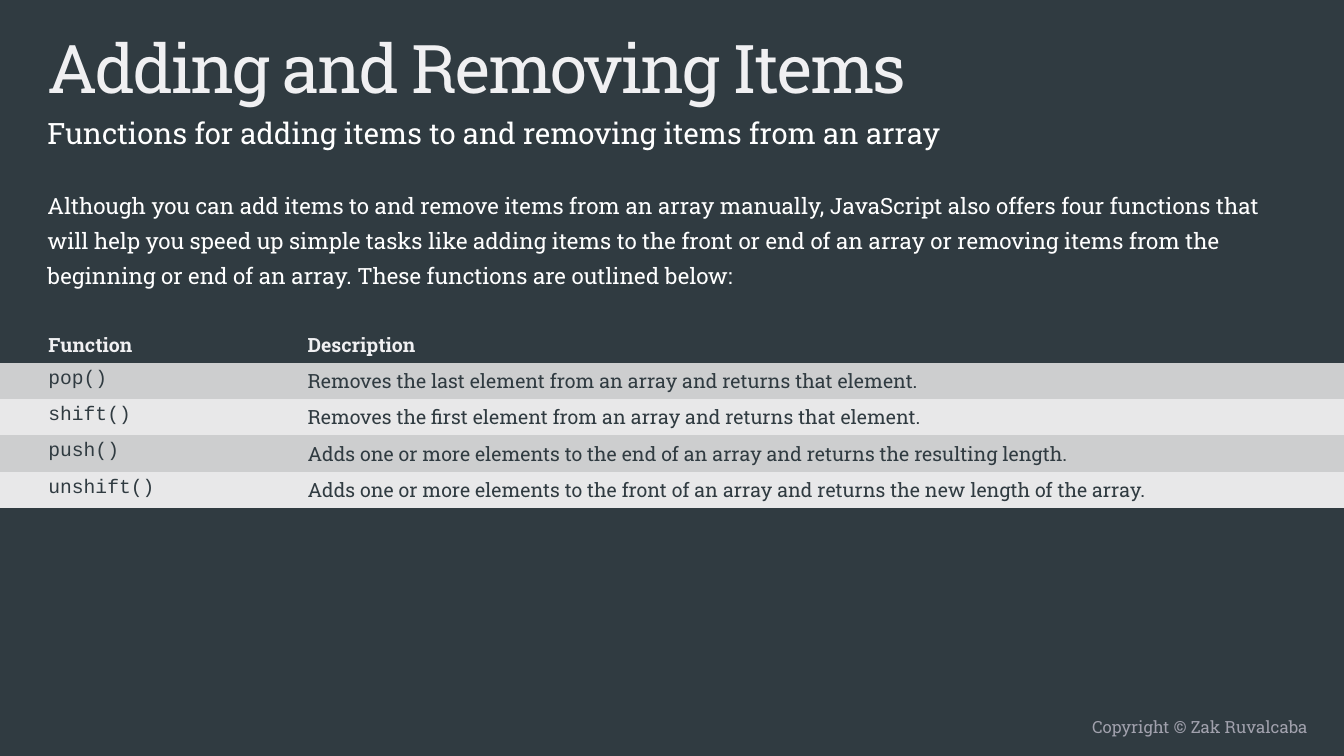
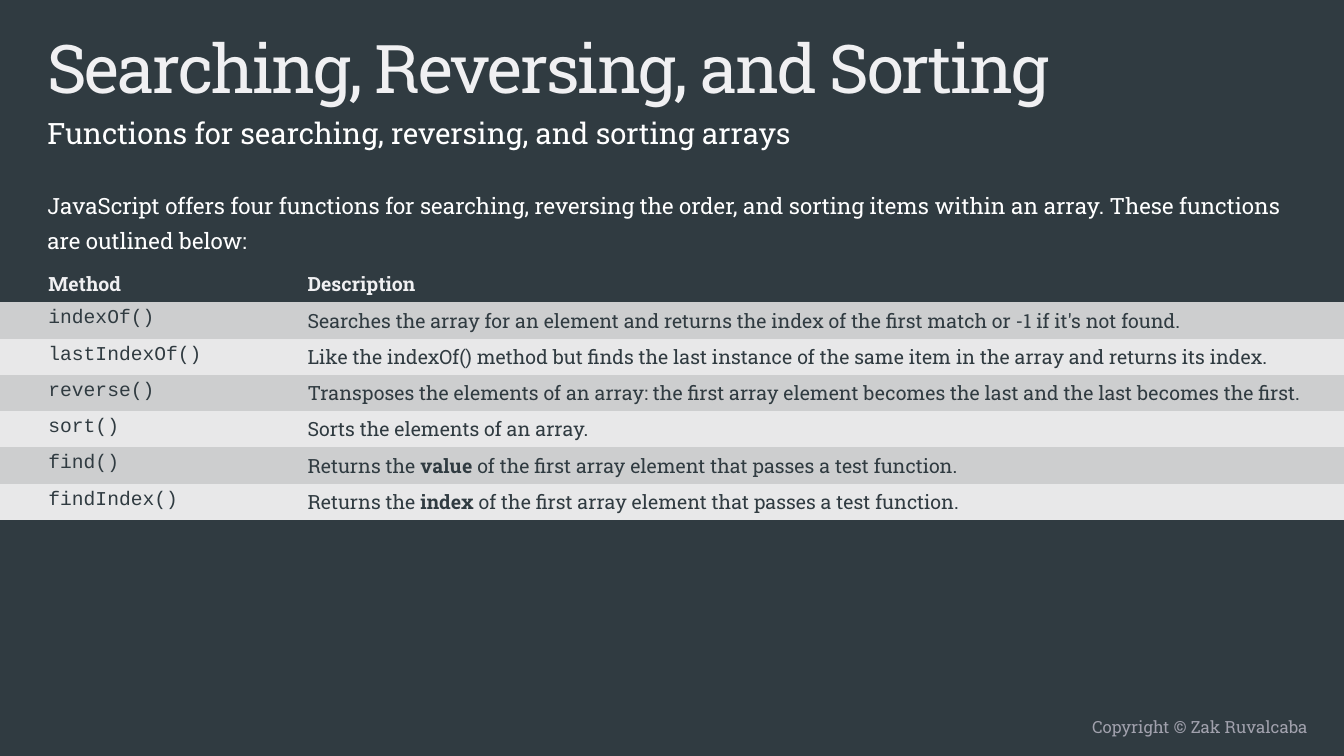
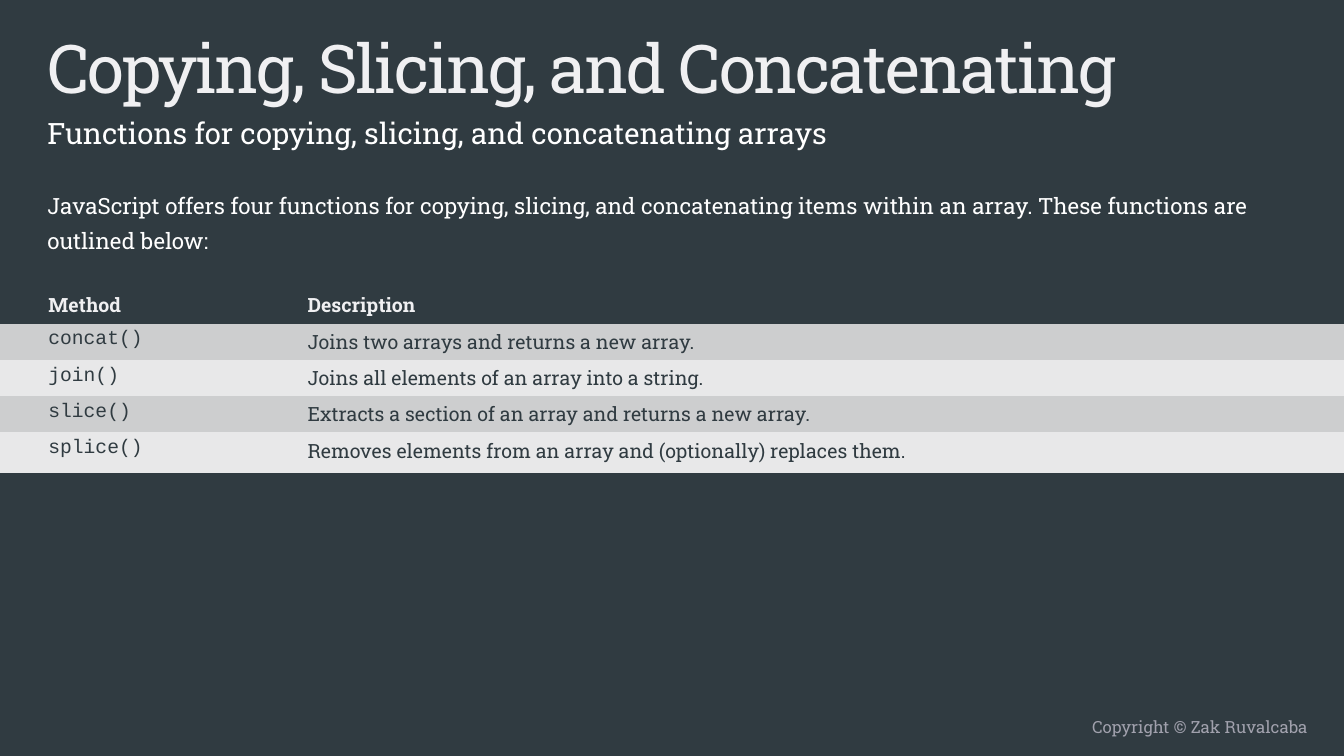
import pptx
import pptx.util
import pptx.dml.color
import pptx.enum.text
import pptx.oxml
import pptx.oxml.ns

Inches = pptx.util.Inches
Pt = pptx.util.Pt
qn = pptx.oxml.ns.qn

HUES = {
    "slate": "303B41",
    "pale": "F0F0F2",
    "white": "FFFFFF",
    "mute": "A1A1AD",
    "dark": "CDCECF",
    "light": "E8E8E9",
}
SLAB = "Roboto Slab"
CODE = "Courier New"
BARE = "{2D5ABB26-0587-4C30-8999-92F81FD0307C}"

LOOKS = {
    "title": {"name": SLAB, "size": Pt(48), "bold": False, "ink": "pale"},
    "sub": {"name": SLAB, "size": Pt(21), "bold": False, "ink": "white"},
    "body": {"name": SLAB, "size": Pt(16), "bold": False, "ink": "white"},
    "foot": {"name": SLAB, "size": Pt(12), "bold": False, "ink": "mute"},
    "head": {"name": SLAB, "size": Pt(14), "bold": True, "ink": "pale"},
    "code": {"name": CODE, "size": Pt(14), "bold": False, "ink": "slate"},
    "cell": {"name": SLAB, "size": Pt(14), "bold": False, "ink": "slate"},
}

BOXES = {
    "title": (0.37, 0.21, 11.76, 0.79),
    "body": (0.37, 1.78, 12.6, 5.12),
    "sub": (0.37, 0.99, 11.76, 0.39),
    "foot": (6.67, 7.06, 6.4, 0.31),
}

COLS = (2.95, 10.38)
ROW = 0.36

PAGES = [
    {
        "title": "Adding and Removing Items",
        "sub": "Functions for adding items to and removing items from an array",
        "body": "Although you can add items to and remove items from an array manually, "
                "JavaScript also offers four functions that will help you speed up simple "
                "tasks like adding items to the front or end of an array or removing items "
                "from the beginning or end of an array. These functions are outlined below:",
        "top": 3.24,
        "last": ROW,
        "rows": [
            ("Function", "Description"),
            ("pop()", "Removes the last element from an array and returns that element."),
            ("shift()", "Removes the first element from an array and returns that element."),
            ("push()", "Adds one or more elements to the end of an array and returns "
                       "the resulting length."),
            ("unshift()", "Adds one or more elements to the front of an array and returns "
                          "the new length of the array."),
        ],
    },
    {
        "title": "Searching, Reversing, and Sorting",
        "sub": "Functions for searching, reversing, and sorting arrays",
        "body": "JavaScript offers four functions for searching, reversing the order, and "
                "sorting items within an array. These functions are outlined below:",
        "top": 2.64,
        "last": ROW,
        "rows": [
            ("Method", "Description"),
            ("indexOf()", "Searches the array for an element and returns the index of the "
                          "first match or -1 if it's not found."),
            ("lastIndexOf()", "Like the indexOf() method but finds the last instance of the "
                              "same item in the array and returns its index."),
            ("reverse()", "Transposes the elements of an array: the first array element "
                          "becomes the last and the last becomes the first."),
            ("sort()", "Sorts the elements of an array."),
            ("find()", "Returns the *value* of the first array element that passes a "
                       "test function."),
            ("findIndex()", "Returns the *index* of the first array element that passes a "
                            "test function."),
        ],
    },
    {
        "title": "Copying, Slicing, and Concatenating",
        "sub": "Functions for copying, slicing, and concatenating arrays",
        "body": "JavaScript offers four functions for copying, slicing, and concatenating "
                "items within an array. These functions are outlined below:",
        "top": 2.85,
        "last": 0.4,
        "rows": [
            ("Method", "Description"),
            ("concat()", "Joins two arrays and returns a new array."),
            ("join()", "Joins all elements of an array into a string."),
            ("slice()", "Extracts a section of an array and returns a new array."),
            ("splice()", "Removes elements from an array and (optionally) replaces them."),
        ],
    },
]


def tint(hue):
    return pptx.dml.color.RGBColor.from_string(HUES[hue])


def paint(fill, hue):
    fill.solid()
    fill.fore_color.rgb = tint(hue)


def write(frame, text, look):
    para = frame.paragraphs[0]
    for turn, part in enumerate(text.split("*")):
        run = para.add_run()
        run.text = part
        for key, val in LOOKS[look].items():
            if key == "ink":
                run.font.color.rgb = tint(val)
            else:
                setattr(run.font, key, val)
        if turn % 2:
            run.font.bold = True
    return para


def place(shape, box):
    for key, val in zip(("left", "top", "width", "height"), box):
        setattr(shape, key, Inches(val))


def fit(shape, text, look, align="LEFT"):
    place(shape, BOXES[look])
    form = {
        "word_wrap": True,
        "auto_size": pptx.enum.text.MSO_AUTO_SIZE.NONE,
        "vertical_anchor": pptx.enum.text.MSO_ANCHOR.TOP,
    }
    for key, val in form.items():
        setattr(shape.text_frame, key, val)
    para = write(shape.text_frame, text, look)
    para.alignment = getattr(pptx.enum.text.PP_ALIGN, align)
    return para


def add_title(slide, text):
    shape = slide.shapes.title
    fit(shape, text, "title")
    for prop in shape.element.iter(qn("a:rPr")):
        prop.set("spc", "-150")


def add_prose(shape, text, look):
    para = fit(shape, text, look)
    para.line_spacing = 1.3
    for prop in shape.element.iter(qn("a:pPr")):
        prop.set("marL", "0")
        prop.set("indent", "0")
        prop.append(pptx.oxml.parse_xml(
            '<a:buNone xmlns:a="http://schemas.openxmlformats.org/drawingml/2006/main"/>'))


def add_foot(slide):
    box = slide.shapes.add_textbox(*map(Inches, BOXES["foot"]))
    fit(box, "Copyright © Zak Ruvalcaba", "foot", "RIGHT")


def add_grid(slide, rows, box, last):
    frame = slide.shapes.add_table(len(rows), len(COLS), *map(Inches, box))
    frame.element.find(".//" + qn("a:tableStyleId")).text = BARE
    table = frame.table
    table.first_row = table.horz_banding = False
    for col, wide in zip(table.columns, COLS):
        col.width = Inches(wide)
    for row in table.rows:
        row.height = Inches(ROW)
    table.rows[len(rows) - 1].height = Inches(last)
    for down, row in enumerate(rows):
        band = ("light", "dark")[down % 2] if down else "slate"
        for over, text in enumerate(row):
            cell = table.cell(down, over)
            paint(cell.fill, band)
            if over == 0:
                cell.margin_left = Inches(0.48)
            write(cell.text_frame, text, ("code", "cell")[over] if down else "head")


def add_page(deck, page):
    slide = deck.slides.add_slide(deck.slide_layouts.get_by_name("Two Content"))
    add_foot(slide)
    add_title(slide, page["title"])
    add_prose(slide.placeholders[1], page["body"], "body")
    add_prose(slide.placeholders[2], page["sub"], "sub")
    high = ROW * (len(page["rows"]) - 1) + page["last"]
    add_grid(slide, page["rows"], (0, page["top"], sum(COLS), high), page["last"])


def main():
    deck = pptx.Presentation()
    deck.slide_width = Inches(13.33)
    deck.slide_height = Inches(7.5)
    paint(deck.slide_master.background.fill, "slate")
    for page in PAGES:
        add_page(deck, page)
    deck.save("out.pptx")


if __name__ == "__main__":
    main()
